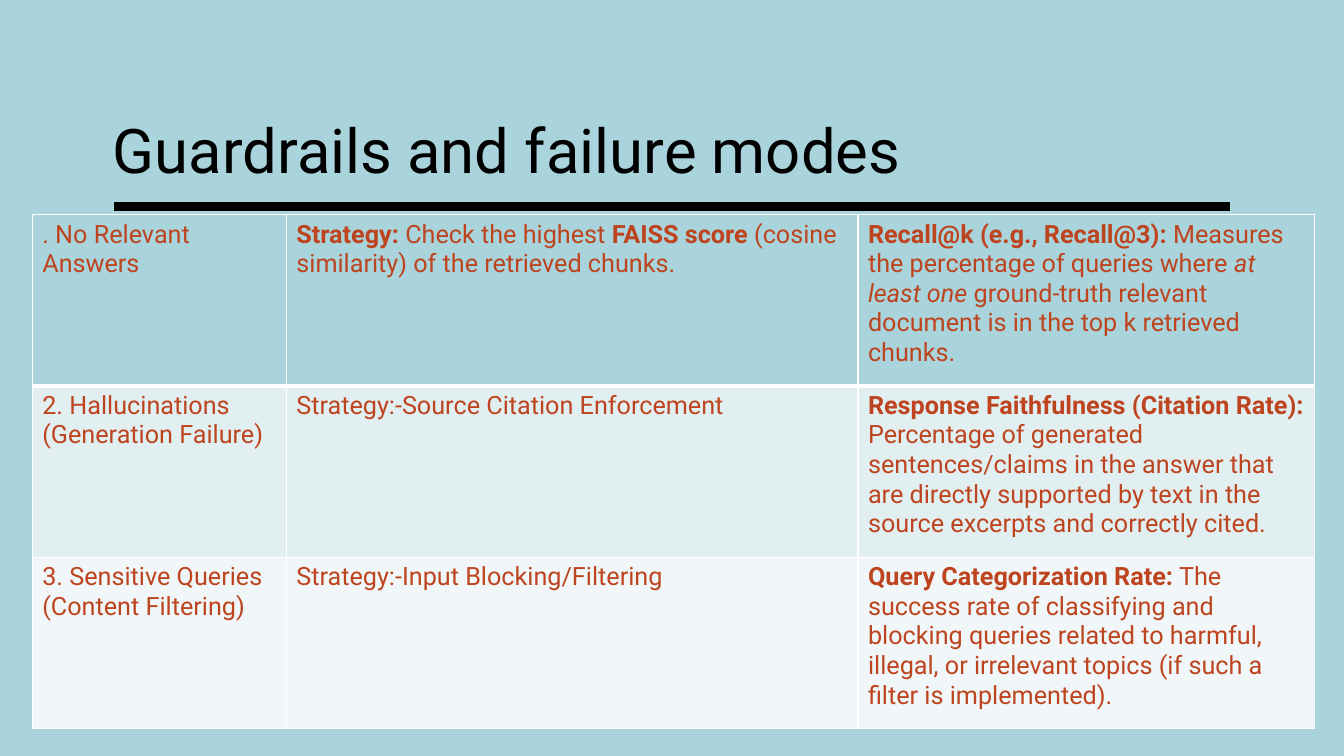
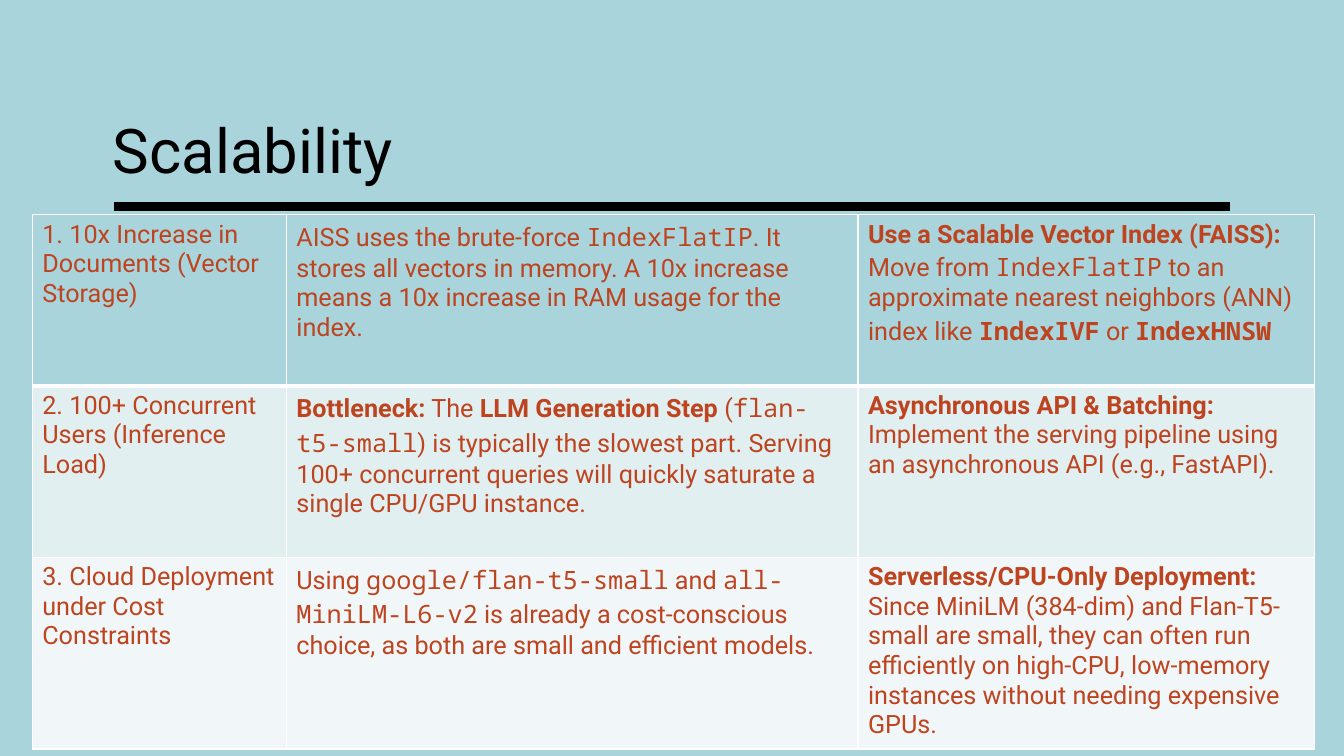
from lxml import etree
from pptx import Presentation
from pptx import util as u
from pptx.dml.color import RGBColor
from pptx.enum import shapes, text
from pptx.oxml.ns import qn

COLORS = {
    "background": "A9D4DB",
    "title": "000000",
    "body": "BD441F",
    "border": "FFFFFF",
    "row_1": "A9D4DB",
    "row_2": "E2EFF1",
    "row_3": "F1F7F8",
}
BODY_FONT, CODE_FONT = "Roboto", "Noto Sans Mono"
TITLE_SIZE, BODY_SIZE = 44, 18
COLUMN_WIDTHS = (2.52, 5.67, 4.53)
ROW_HEIGHT = 1.7


def rgb(name):
    return RGBColor.from_string(COLORS[name])


def bold(words):
    return words, {"bold": True}


def italic(words):
    return words, {"italic": True}


def code(words):
    return words, {"font": CODE_FONT}


def bold_code(words):
    return words, {"font": CODE_FONT, "bold": True}


class Deck:
    def __init__(self):
        self.presentation = Presentation()
        self.presentation.slide_width = u.Inches(13.33)
        self.presentation.slide_height = u.Inches(7.5)
        self.slide = None

    def new_slide(self, title):
        self.slide = self.presentation.slides.add_slide(self.presentation.slide_layouts[6])
        fill = self.slide.background.fill
        fill.solid()
        fill.fore_color.rgb = rgb("background")
        self.rule(1.13, 12.2, 2.05)
        self.title(title)

    def rule(self, left, right, top):
        rule = self.slide.shapes.add_connector(
            shapes.MSO_CONNECTOR.STRAIGHT,
            u.Inches(left), u.Inches(top), u.Inches(right), u.Inches(top))
        rule.line.width = u.Pt(6)
        rule.line.color.rgb = rgb("title")
        etree.SubElement(rule._element.spPr, qn("a:effectLst"))

    def title(self, words):
        box = self.slide.shapes.add_textbox(
            u.Inches(1.12), u.Inches(1.09), u.Inches(11.41), u.Inches(0.76))
        frame = box.text_frame
        frame.word_wrap = True
        frame.vertical_anchor = text.MSO_ANCHOR.BOTTOM
        frame.margin_left = frame.margin_right = frame.margin_top = frame.margin_bottom = 0
        # The title is set slightly tight so that its baseline sits above the rule.
        frame.paragraphs[0].line_spacing = 0.9
        self.add_run(frame.paragraphs[0], words, TITLE_SIZE, "title")

    def add_run(self, paragraph, words, size, color, bold=False, italic=False, font=BODY_FONT):
        run = paragraph.add_run()
        run.text = words
        run.font.name = font
        run.font.size = u.Pt(size)
        run.font.bold = bold
        run.font.italic = italic
        run.font.color.rgb = rgb(color)

    def table(self, rows):
        """Each cell is a list of runs: plain strings or (words, style) pairs."""
        table = self.slide.shapes.add_table(
            len(rows), len(COLUMN_WIDTHS), u.Inches(0.32), u.Inches(2.13),
            u.Inches(sum(COLUMN_WIDTHS)), u.Inches(ROW_HEIGHT * len(rows))).table
        table.first_row = table.horz_banding = False
        for column, width in zip(table.columns, COLUMN_WIDTHS):
            column.width = u.Inches(width)
        for r, row in enumerate(rows):
            table.rows[r].height = u.Inches(ROW_HEIGHT)
            for c, runs in enumerate(row):
                cell = table.cell(r, c)
                cell.fill.solid()
                cell.fill.fore_color.rgb = rgb(f"row_{r + 1}")
                self.borders(cell, top=3 if r == 1 else 1, bottom=3 if r == 0 else 1)
                for run in runs:
                    words, style = (run, {}) if isinstance(run, str) else run
                    self.add_run(cell.text_frame.paragraphs[0], words,
                                 BODY_SIZE, "body", **style)

    def borders(self, cell, top, bottom):
        properties = cell._tc.get_or_add_tcPr()
        widths = {"a:lnL": 1, "a:lnR": 1, "a:lnT": top, "a:lnB": bottom}
        for position, (side, width) in enumerate(widths.items()):
            line = etree.Element(qn(side), w=str(u.Pt(width)))
            fill = etree.SubElement(line, qn("a:solidFill"))
            etree.SubElement(fill, qn("a:srgbClr"), val=COLORS["border"])
            properties.insert(position, line)


GUARDRAILS = [
    [
        [". No Relevant Answers"],
        [bold("Strategy:"), " Check the highest ", bold("FAISS score"),
         " (cosine similarity) of the retrieved chunks."],
        [bold("Recall@k (e.g., Recall@3):"),
         " Measures the percentage of queries where ", italic("at least one"),
         " ground-truth relevant document is in the top k retrieved chunks."],
    ],
    [
        ["2. Hallucinations (Generation Failure)"],
        ["Strategy:-Source Citation Enforcement"],
        [bold("Response Faithfulness (Citation Rate):"),
         " Percentage of generated sentences/claims in the answer that are directly "
         "supported by text in the source excerpts and correctly cited."],
    ],
    [
        ["3. Sensitive Queries (Content Filtering)"],
        ["Strategy:-Input Blocking/Filtering"],
        [bold("Query Categorization Rate:"),
         " The success rate of classifying and blocking queries related to harmful, "
         "illegal, or irrelevant topics (if such a filter is implemented)."],
    ],
]

SCALABILITY = [
    [
        ["1. 10x Increase in Documents (Vector Storage)"],
        ["AISS uses the brute-force ", code("IndexFlatIP"),
         ". It stores all vectors in memory. A 10x increase means a 10x increase "
         "in RAM usage for the index."],
        [bold("Use a Scalable Vector Index (FAISS):"), " Move from ", code("IndexFlatIP"),
         " to an approximate nearest neighbors (ANN) index like ",
         bold_code("IndexIVF"), " or ", bold_code("IndexHNSW")],
    ],
    [
        ["2. 100+ Concurrent Users (Inference Load)"],
        [bold("Bottleneck:"), " The ", bold("LLM Generation Step"), " (",
         code("flan-t5-small"),
         ") is typically the slowest part. Serving 100+ concurrent queries will "
         "quickly saturate a single CPU/GPU instance."],
        [bold("Asynchronous API & Batching:"),
         " Implement the serving pipeline using an asynchronous API (e.g., FastAPI)."],
    ],
    [
        ["3. Cloud Deployment under Cost Constraints"],
        ["Using ", code("google/flan-t5-small"), " and ", code("all-MiniLM-L6-v2"),
         " is already a cost-conscious choice, as both are small and efficient models."],
        [bold("Serverless/CPU-Only Deployment:"),
         " Since MiniLM (384-dim) and Flan-T5-small are small, they can often run "
         "efficiently on high-CPU, low-memory instances without needing expensive GPUs."],
    ],
]


def main():
    deck = Deck()
    for title, rows in (("Guardrails and failure modes", GUARDRAILS),
                        ("Scalability", SCALABILITY)):
        deck.new_slide(title)
        deck.table(rows)
    deck.presentation.save("out.pptx")


if __name__ == "__main__":
    main()
